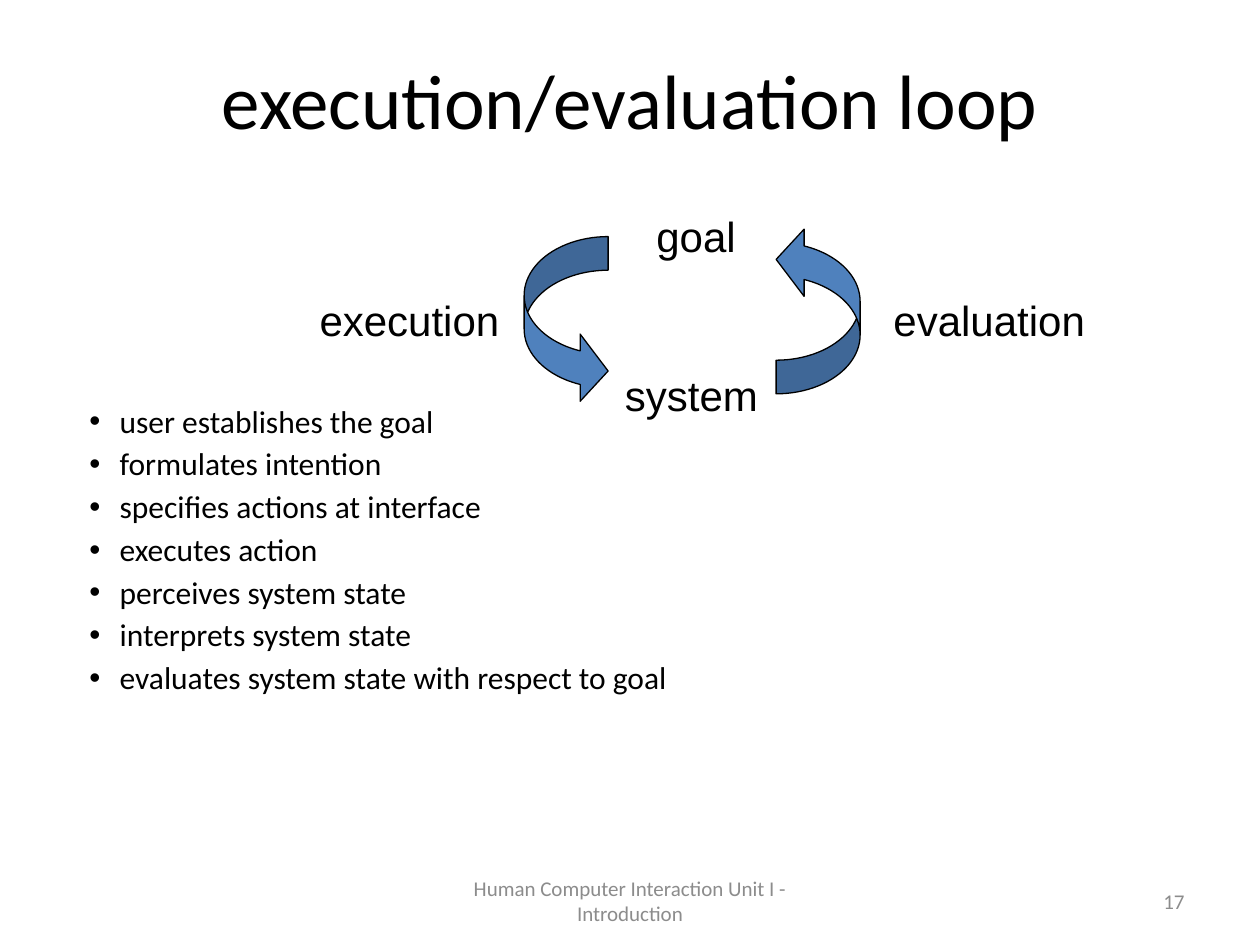
from lxml.etree import SubElement
from pptx import Presentation
from pptx.dml.color import RGBColor
from pptx.enum.shapes import MSO_SHAPE as Shape
from pptx.enum.text import MSO_ANCHOR as Anchor, MSO_AUTO_SIZE as AutoSize, PP_ALIGN as Align
from pptx.oxml.ns import qn
from pptx.util import Pt

COLORS = {"text": "000000", "footer": "8C8C8C", "arrow": "4F81BD", "outline": "000000"}

TITLE = "execution/evaluation loop"
FOOTER = "Human Computer Interaction Unit I - Introduction"
PAGE_NUMBER = "17"
STEPS = [
    "user establishes the goal",
    "formulates intention",
    "specifies actions at interface",
    "executes action",
    "perceives system state",
    "interprets system state",
    "evaluates system state with respect to goal",
]
# word, left, top, width
LOOP_LABELS = [
    ("system", 350, 207.5, 90.5),
    ("evaluation", 503.5, 165, 124),
    ("execution", 175.5, 165, 117.5),
    ("goal", 368, 116.5, 60),
]
LABEL_HEIGHT = 36
# left, top, rotation
LOOP_ARROWS = [(299.5, 135.2, 0), (443.5, 129, 180)]
ARROW_SIZE = (48, 96)
ARROW_SHAPE = (0.4, 0.8, 0.333)


def color(name):
    """Return the named colour."""
    return RGBColor.from_string(COLORS[name])


def add_text(page, lines, area, size, font="Calibri", ink="text",
             align=Align.LEFT, anchor=Anchor.TOP, wrap=True):
    """Add a text box with one paragraph per line and return it."""
    box = page.shapes.add_textbox(*map(Pt, area))
    frame = box.text_frame
    frame.word_wrap = wrap
    frame.auto_size = AutoSize.NONE if wrap else AutoSize.SHAPE_TO_FIT_TEXT
    frame.vertical_anchor = anchor
    for index, line in enumerate(lines):
        para = frame.add_paragraph() if index else frame.paragraphs[0]
        para.alignment = align
        span = para.add_run()
        span.text = line
        span.font.size = Pt(size)
        span.font.name = font
        span.font.color.rgb = color(ink)
    return box


def add_bullet(para, indent, hanging):
    """Give a paragraph a round bullet with a hanging indent."""
    props = para._p.get_or_add_pPr()
    props.set("marL", str(Pt(indent)))
    props.set("indent", str(-Pt(hanging)))
    SubElement(props, qn("a:buFont")).set("typeface", "Arial")
    SubElement(props, qn("a:buChar")).set("char", "•")


def add_loop_arrow(page, left, top, rotation):
    """Add one curved arrow of the loop."""
    arrow = page.shapes.add_shape(
        Shape.CURVED_RIGHT_ARROW, Pt(left), Pt(top), *map(Pt, ARROW_SIZE))
    for index, value in enumerate(ARROW_SHAPE):
        arrow.adjustments[index] = value
    arrow.rotation = rotation
    arrow.shadow.inherit = False
    arrow.fill.solid()
    arrow.fill.fore_color.rgb = color("arrow")
    arrow.line.color.rgb = color("outline")
    arrow.line.width = Pt(0.75)


deck = Presentation()
deck.slide_width, deck.slide_height = Pt(720), Pt(540)
page = deck.slides.add_slide(deck.slide_layouts[6])

add_text(page, [TITLE], (49.7, 17.3, 620.6, 77.8), 44,
         align=Align.CENTER, anchor=Anchor.MIDDLE)
add_text(page, [FOOTER], (246, 500.5, 228, 28.75), 12, ink="footer",
         align=Align.CENTER, anchor=Anchor.MIDDLE)
add_text(page, [PAGE_NUMBER], (516, 500.5, 168, 28.75), 12, ink="footer",
         align=Align.RIGHT, anchor=Anchor.MIDDLE)

steps = add_text(page, STEPS, (39, 228.4, 664, 208), 18)
for index, para in enumerate(steps.text_frame.paragraphs):
    para.line_spacing = 0.9
    para.space_before = Pt(5 if index else 0)
    add_bullet(para, 22.3, 17.3)

for word, left, top, width in LOOP_LABELS:
    add_text(page, [word], (left, top, width, LABEL_HEIGHT), 24, font="Arial", wrap=False)
for placement in LOOP_ARROWS:
    add_loop_arrow(page, *placement)

deck.save("out.pptx")
